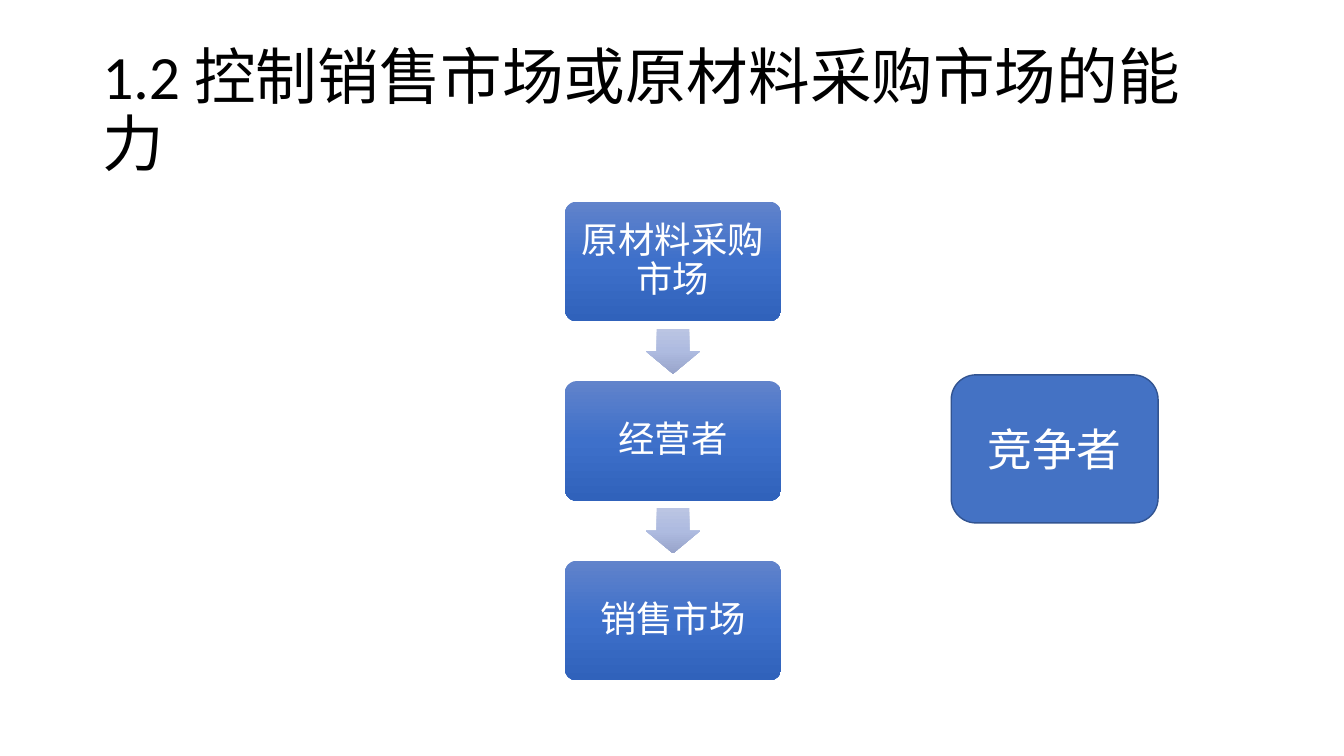
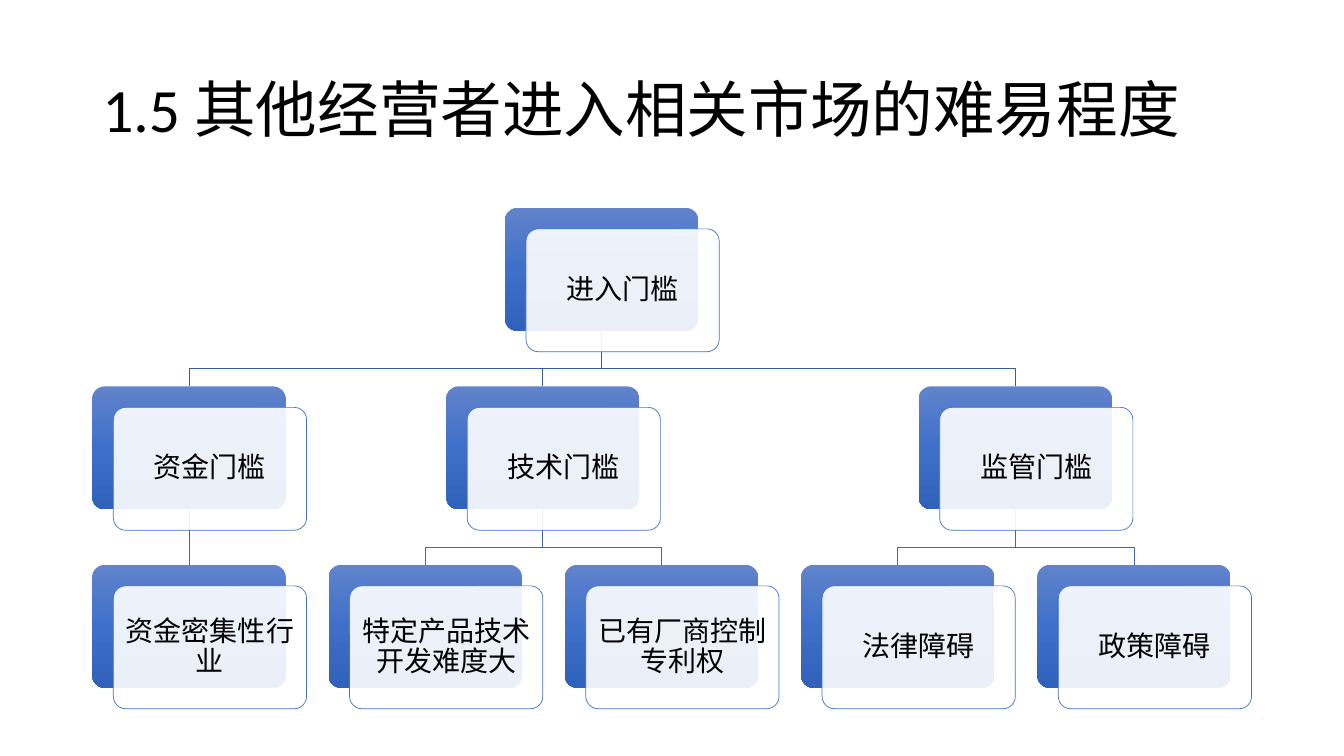
from dataclasses import dataclass

from lxml.etree import SubElement
from pptx import Presentation
from pptx.dml.color import RGBColor
from pptx.enum.shapes import MSO_CONNECTOR as Connector, MSO_SHAPE as Preset
from pptx.enum.text import MSO_ANCHOR as Anchor, PP_ALIGN as Align
from pptx.oxml.ns import qn
from pptx.util import Emu, Pt

# Shared style
FONT = "Calibri"
BLACK, WHITE, ACCENT = "000000", "FFFFFF", "4472C4"
BLUE_GRADIENT = ("6183CB", "3E70CA", "3062BB")
PALE_GRADIENT = ("BBC5E3", "AEBBE0", "98A4CB")


@dataclass(frozen=True)
class Box:
    left: int
    top: int
    width: int
    height: int


@dataclass(frozen=True)
class Node:
    text: str
    children: tuple["Node", ...] = ()


@dataclass(frozen=True)
class Placed:
    node: Node
    level: int
    left: int
    children: tuple["Placed", ...]

    @property
    def center(self) -> int:
        return self.left + NODE_WIDTH // 2

    @property
    def top(self) -> int:
        return TREE_TOP + self.level * LEVEL_PITCH


TITLE_BOX = Box(88, 38, 1104, 139)

# Market chain
CHAIN = ("原材料采购市场", "经营者", "销售市场")
CHAIN_BOX = Box(538, 192, 206, 114)
CHAIN_PITCH = 171
ARROW_WIDTH, ARROW_HEIGHT = 52, 43
RIVAL_BOX = Box(906, 357, 197, 141)

# Barrier tree
TREE = Node("进入门槛", (
    Node("资金门槛", (Node("资金密集性行业"),)),
    Node("技术门槛", (Node("特定产品技术开发难度大"), Node("已有厂商控制专利权"))),
    Node("监管门槛", (Node("法律障碍"), Node("政策障碍"))),
))
NODE_WIDTH, NODE_HEIGHT, PLATE_OFFSET = 184, 117, 20
TREE_LEFT, TREE_TOP = 88, 198
LEAF_PITCH, LEVEL_PITCH = 225, 170
ELBOW_RISE = 17
LEVEL_LINES = ("365B9D", "3E67B2")


def px(value: int) -> Emu:
    return Emu(value * 9525)


def rgb(value: str) -> RGBColor:
    return RGBColor.from_string(value)


def place(box: Box) -> tuple[Emu, ...]:
    return px(box.left), px(box.top), px(box.width), px(box.height)


def set_gradient(shape, colors: tuple[str, ...]) -> None:
    """Fill from top to bottom with evenly spaced stops."""
    shape.fill.gradient()
    shape.fill.gradient_angle = 270
    stops = shape._element.spPr.find(qn("a:gradFill")).find(qn("a:gsLst"))
    for stop in list(stops):
        stops.remove(stop)
    for index, color in enumerate(colors):
        position = 100000 * index // (len(colors) - 1)
        stop = SubElement(stops, qn("a:gs"), pos=str(position))
        SubElement(stop, qn("a:srgbClr"), val=color)


def set_line(shape, color: str, width: float) -> None:
    shape.line.color.rgb = rgb(color)
    shape.line.width = Pt(width)


def write(shape, text: str, size: int, color: str, align: Align = Align.CENTER,
          spacing: float = 0.9, inset: int | None = None) -> None:
    frame = shape.text_frame
    frame.word_wrap = True
    frame.vertical_anchor = Anchor.MIDDLE
    if inset is not None:
        frame.margin_left = frame.margin_right = px(inset)
        frame.margin_top = frame.margin_bottom = px(inset)
    paragraph = frame.paragraphs[0]
    paragraph.text = text
    paragraph.alignment = align
    paragraph.line_spacing = spacing
    paragraph.font.name = FONT
    paragraph.font.size = Pt(size)
    paragraph.font.color.rgb = rgb(color)


def add_preset(slide, preset: Preset, box: Box, *adjustments: float):
    shape = slide.shapes.add_shape(preset, *place(box))
    shape.shadow.inherit = False
    shape.line.fill.background()
    for index, value in enumerate(adjustments):
        shape.adjustments[index] = value
    return shape


def add_titled_slide(presentation, title: str):
    slide = presentation.slides.add_slide(presentation.slide_layouts[6])
    write(slide.shapes.add_textbox(*place(TITLE_BOX)), title, 44, BLACK, Align.LEFT)
    return slide


def draw_chain(slide) -> None:
    gap = CHAIN_PITCH - CHAIN_BOX.height
    arrow_left = CHAIN_BOX.left + (CHAIN_BOX.width - ARROW_WIDTH) // 2
    for index, text in enumerate(CHAIN):
        top = CHAIN_BOX.top + index * CHAIN_PITCH
        if index:
            arrow_top = top - (gap + ARROW_HEIGHT) // 2
            arrow_box = Box(arrow_left, arrow_top, ARROW_WIDTH, ARROW_HEIGHT)
            arrow = add_preset(slide, Preset.DOWN_ARROW, arrow_box, 0.6, 0.5)
            set_gradient(arrow, PALE_GRADIENT)
        box = Box(CHAIN_BOX.left, top, CHAIN_BOX.width, CHAIN_BOX.height)
        step = add_preset(slide, Preset.ROUNDED_RECTANGLE, box, 0.1)
        set_gradient(step, BLUE_GRADIENT)
        write(step, text, 26, WHITE, inset=11)


def draw_rival(slide) -> None:
    rival = add_preset(slide, Preset.ROUNDED_RECTANGLE, RIVAL_BOX)
    rival.fill.solid()
    rival.fill.fore_color.rgb = rgb(ACCENT)
    set_line(rival, "325491", 1)
    write(rival, "竞争者", 32, WHITE, spacing=1.0)


def arrange(node: Node, level: int = 0, first_leaf: int = 0) -> tuple[Placed, int]:
    """Centre each parent over its children; also return the next free leaf."""
    if not node.children:
        left = TREE_LEFT + first_leaf * LEAF_PITCH
        return Placed(node, level, left, ()), first_leaf + 1
    children = []
    leaf = first_leaf
    for child in node.children:
        placed, leaf = arrange(child, level + 1, leaf)
        children.append(placed)
    left = (children[0].left + children[-1].left) // 2
    return Placed(node, level, left, tuple(children)), leaf


def draw_branches(slide, parent: Placed) -> None:
    start = parent.top + NODE_HEIGHT
    for child in parent.children:
        draw_branches(slide, child)
        elbow = child.top - ELBOW_RISE
        if child.center == parent.center:
            branch = slide.shapes.add_connector(
                Connector.STRAIGHT, px(parent.center), px(start),
                px(child.center), px(child.top))
            SubElement(branch._element.spPr, qn("a:effectLst"))
        else:
            builder = slide.shapes.build_freeform(parent.center, start, scale=px(1))
            builder.add_line_segments([(parent.center, elbow), (child.center, elbow),
                                       (child.center, child.top)], close=False)
            branch = builder.convert_to_shape()
            branch.shadow.inherit = False
            branch.fill.background()
        set_line(branch, LEVEL_LINES[parent.level], 0.5)


def draw_nodes(slide, placed: Placed) -> None:
    back_box = Box(placed.left, placed.top, NODE_WIDTH, NODE_HEIGHT)
    back = add_preset(slide, Preset.ROUNDED_RECTANGLE, back_box, 0.1)
    set_gradient(back, BLUE_GRADIENT)

    plate_box = Box(placed.left + PLATE_OFFSET, placed.top + PLATE_OFFSET,
                    NODE_WIDTH, NODE_HEIGHT)
    plate = add_preset(slide, Preset.ROUNDED_RECTANGLE, plate_box, 0.1)
    plate.fill.solid()
    plate.fill.fore_color.rgb = rgb(WHITE)
    color = plate._element.spPr.find(qn("a:solidFill")).find(qn("a:srgbClr"))
    SubElement(color, qn("a:alpha"), val="90000")
    set_line(plate, ACCENT, 0.5)
    write(plate, placed.node.text, 20, BLACK, inset=8)

    for child in placed.children:
        draw_nodes(slide, child)


def main() -> None:
    presentation = Presentation()
    presentation.slide_width, presentation.slide_height = px(1280), px(720)

    # Control over sales and supply markets
    slide = add_titled_slide(presentation, "1.2 控制销售市场或原材料采购市场的能力")
    draw_chain(slide)
    draw_rival(slide)

    # Barriers to entry, with the branches behind the nodes
    slide = add_titled_slide(presentation, "1.5 其他经营者进入相关市场的难易程度")
    root, _ = arrange(TREE)
    draw_branches(slide, root)
    draw_nodes(slide, root)

    presentation.save("out.pptx")


if __name__ == "__main__":
    main()
